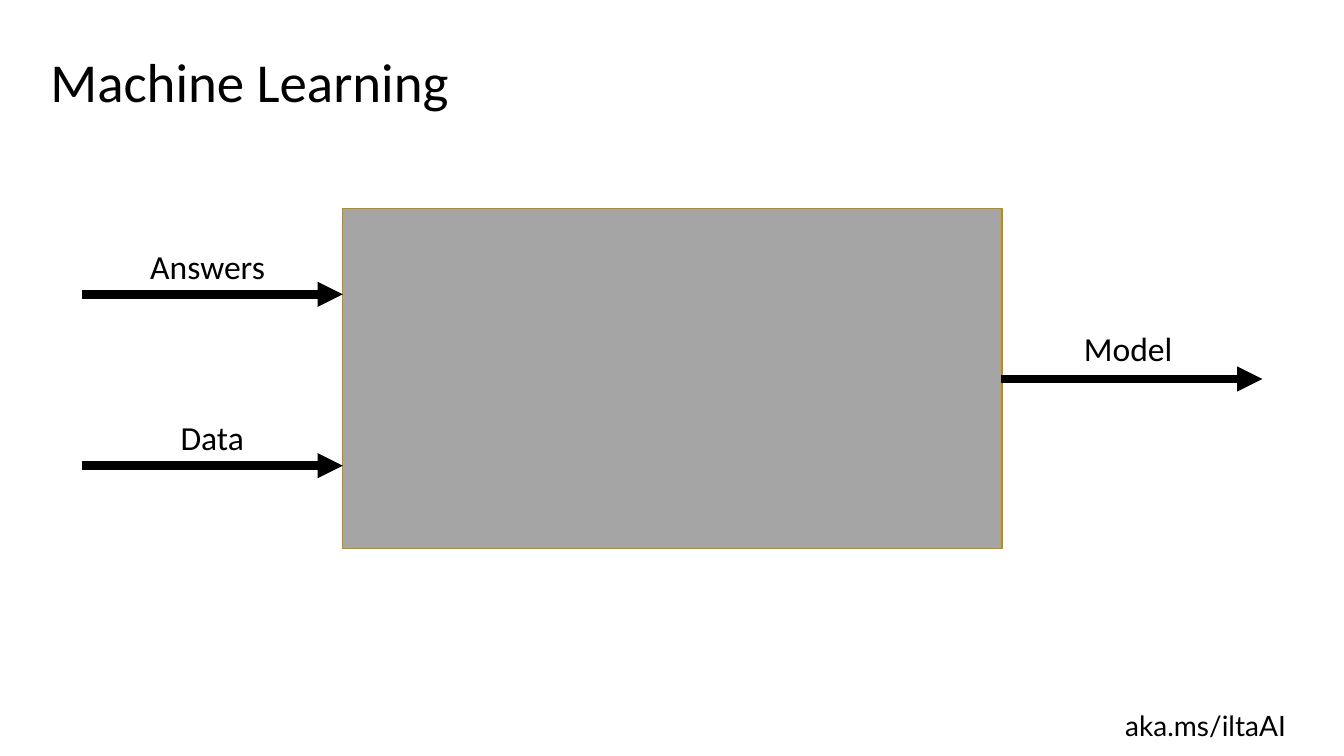
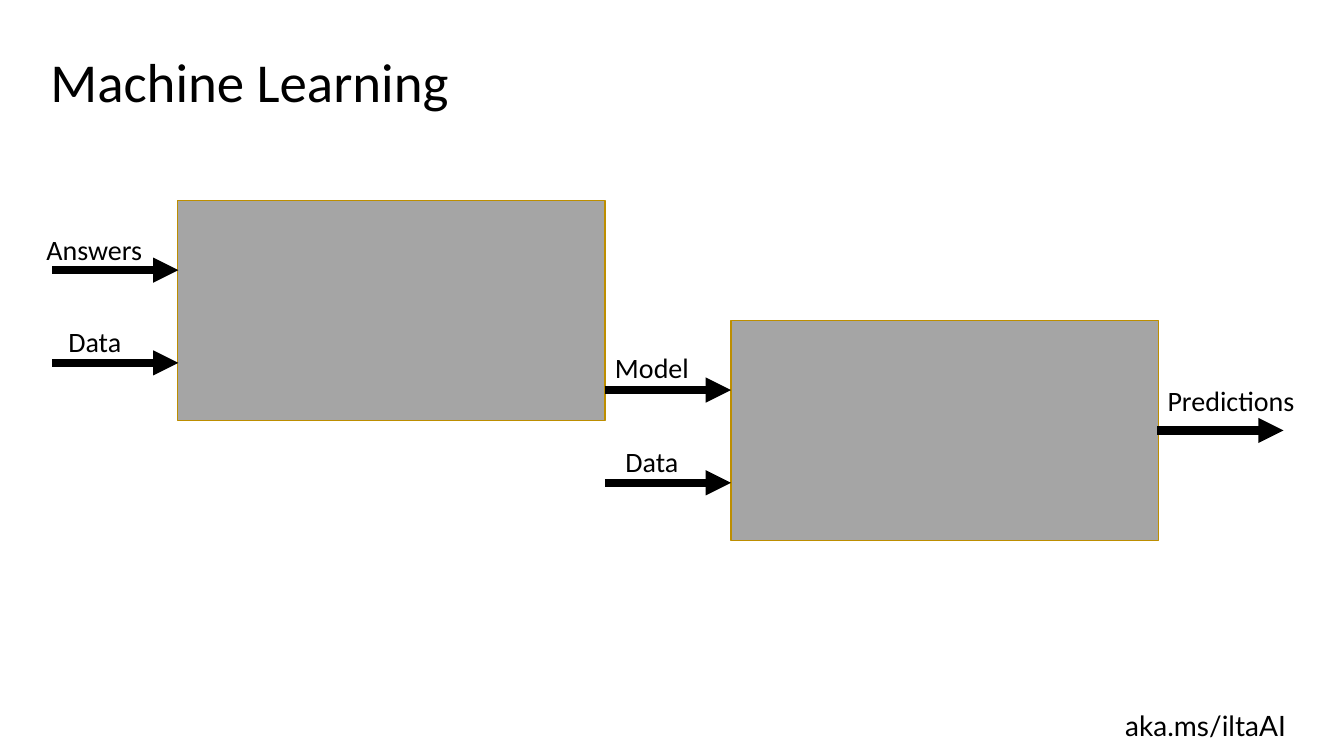
from lxml import etree
from pptx import Presentation
from pptx.dml.color import RGBColor
from pptx.enum.shapes import MSO_CONNECTOR, MSO_SHAPE
from pptx.enum.text import MSO_ANCHOR, PP_ALIGN
from pptx.oxml.ns import qn
from pptx.util import Inches, Pt

BLACK, GREY, GOLD = "000000", "A5A5A5", "BD8E00"
LEFT, CENTER = PP_ALIGN.LEFT, PP_ALIGN.CENTER
TITLE = "Machine Learning"
FOOTER = "aka.ms/iltaAI"

# Boxes: left, top. Arrows: start x, y, label, label left, top, width, alignment.
DIAGRAMS = [
    {
        "box_size": (6.54, 3.37), "arrow_length": 2.59,
        "label_size": 24, "label_height": 0.4,
        "boxes": [(3.4, 2.07)],
        "arrows": [
            (0.81, 2.92, "Answers", 1.49, 2.44, 1.23, LEFT),
            (0.81, 4.62, "Data", 1.76, 4.14, 0.69, CENTER),
            (9.93, 3.76, "Model", 10.75, 3.25, 0.96, LEFT),
        ],
    },
    {
        "box_size": (4.24, 2.18), "arrow_length": 1.25,
        "label_size": 20, "label_height": 0.34,
        "boxes": [(1.76, 1.99), (7.25, 3.18)],
        "arrows": [
            (0.52, 2.68, "Answers", 0.31, 2.31, 1.25, CENTER),
            (0.52, 3.6, "Data", 0.52, 3.22, 0.84, CENTER),
            (6, 3.87, "Model", 6.1, 3.48, 0.93, LEFT),
            (6, 4.79, "Data", 6.09, 4.41, 0.75, CENTER),
            (11.48, 4.27, "Predictions", 11.58, 3.8, 1.46, LEFT),
        ],
    },
]


def rgb(color):
    return RGBColor.from_string(color)


def add_text(slide, text, box, size, font="Calibri", align=LEFT,
             anchor=MSO_ANCHOR.TOP):
    sp = slide.shapes.add_textbox(*map(Inches, box))
    tf = sp.text_frame
    tf.word_wrap = True
    tf.vertical_anchor = anchor
    tf.margin_left = tf.margin_right = tf.margin_top = tf.margin_bottom = 0
    p = tf.paragraphs[0]
    p.text = text
    p.alignment = align
    p.font.name = font
    p.font.size = Pt(size)
    p.font.color.rgb = rgb(BLACK)
    return p


def add_box(slide, position, size):
    sp = slide.shapes.add_shape(MSO_SHAPE.RECTANGLE, *map(Inches, position + size))
    sp.shadow.inherit = False
    sp.fill.solid()
    sp.fill.fore_color.rgb = rgb(GREY)
    sp.line.color.rgb = rgb(GOLD)
    sp.line.width = Pt(1)


def add_arrow(slide, x, y, length):
    line = slide.shapes.add_connector(
        MSO_CONNECTOR.STRAIGHT, Inches(x), Inches(y), Inches(x + length), Inches(y))
    line.line.color.rgb = rgb(BLACK)
    line.line.width = Pt(6)
    ln = line.line._get_or_add_ln()
    etree.SubElement(ln, qn("a:tailEnd"), type="triangle")
    etree.SubElement(ln.getparent(), qn("a:effectLst"))


def add_frame(slide):
    """Add the title and footer that every slide has."""
    title = add_text(slide, TITLE, (0.5, 0.68, 12.36, 0.45), 39.2,
                     anchor=MSO_ANCHOR.MIDDLE)
    title.line_spacing = Pt(31.4)
    add_text(slide, FOOTER, (11.16, 7.03, 2, 0.34), 20, font="Lato")


def add_diagram(slide, diagram):
    for position in diagram["boxes"]:
        add_box(slide, position, diagram["box_size"])
    for x, y, label, left, top, width, align in diagram["arrows"]:
        add_arrow(slide, x, y, diagram["arrow_length"])
        add_text(slide, label, (left, top, width, diagram["label_height"]),
                 diagram["label_size"], align=align)


def main():
    prs = Presentation()
    prs.slide_width, prs.slide_height = Inches(13.33), Inches(7.5)
    for diagram in DIAGRAMS:
        slide = prs.slides.add_slide(prs.slide_layouts[6])
        add_frame(slide)
        add_diagram(slide, diagram)
    prs.save("out.pptx")


if __name__ == "__main__":
    main()
